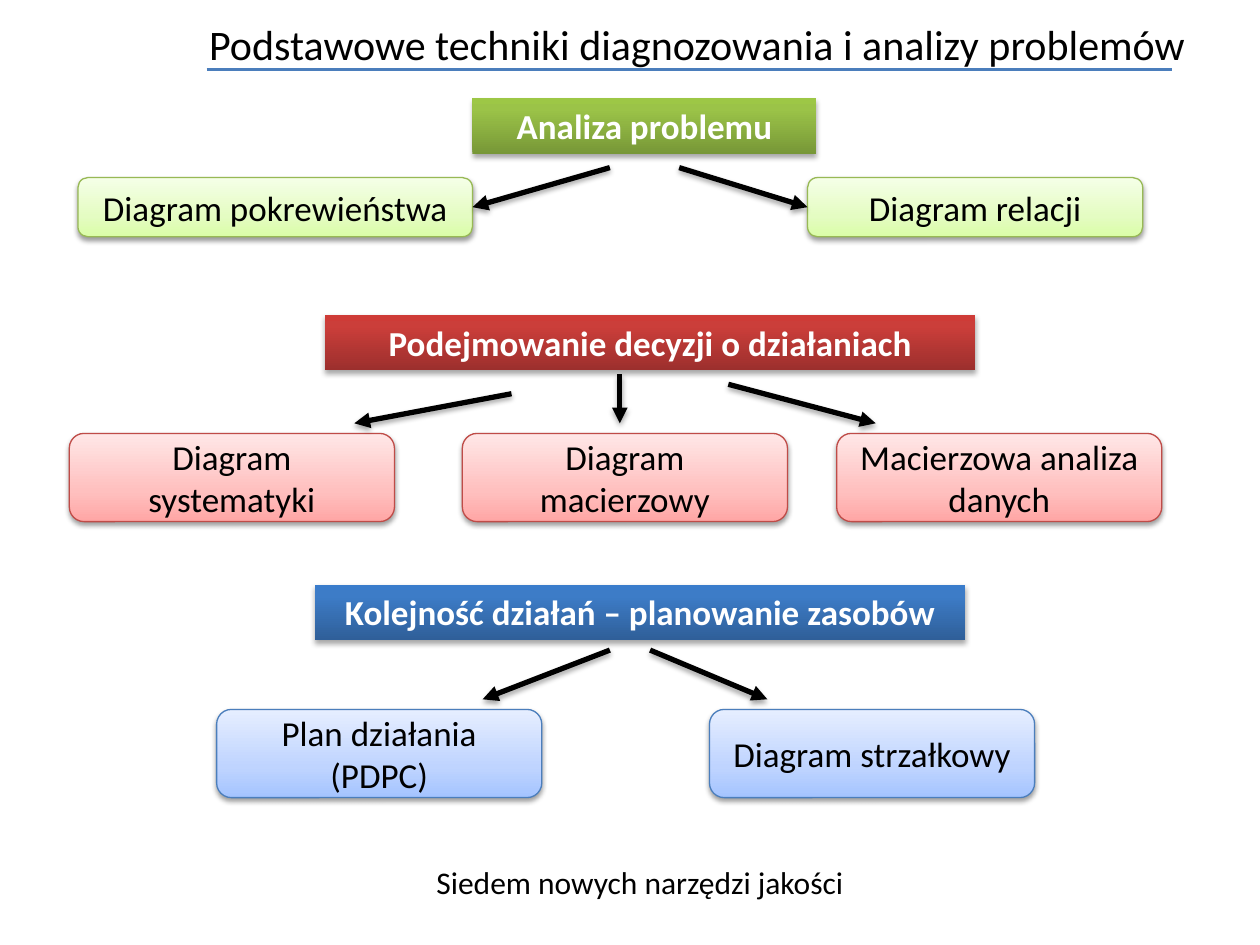
from dataclasses import dataclass

from lxml.etree import SubElement
from pptx import Presentation
from pptx.dml.color import RGBColor
from pptx.enum.shapes import MSO_CONNECTOR, MSO_SHAPE
from pptx.enum.text import MSO_ANCHOR, MSO_AUTO_SIZE, PP_ALIGN
from pptx.oxml import parse_xml
from pptx.oxml.ns import nsdecls, qn
from pptx.util import Pt


@dataclass(frozen=True)
class Theme:
    font: str = "Calibri"
    title_size: int = 24
    box_size: int = 20
    caption_size: int = 18
    text: str = "000000"
    inverse: str = "FFFFFF"
    rule: str = "4B7EBC"


@dataclass(frozen=True)
class Palette:
    heading: tuple  # gradient colours from bottom to top
    leaf: tuple
    outline: str


THEME = Theme()
GREEN = Palette(("779737", "9BC348", "9DC746"), ("DAFDA7", "E4FCC2", "F5FFE7"), "98B955")
RED = Palette(("9C2F2D", "CB3E3A", "CE3B37"), ("FFA6A5", "FFC0BF", "FFE7E7"), "BF4C48")
BLUE = Palette(("2F5F99", "3D7CC7", "3A7CCB"), ("A4C4FF", "BFD4FF", "E6EEFF"), "4B7EBC")

HEADING_HEIGHT = 31.7
LEAF_WIDTH = 185.8
LEAF_HEIGHT = 50.4
LEFT_SIDE, RIGHT_SIDE = 1, 3

# Each section: palette, heading (text, left, top, width), leaf top and height,
# leaves (text, left, width, arrow start, arrow end); an end given as a number
# is the side of the leaf that the arrow is joined to.
SECTIONS = [
    (GREEN, ("Analiza problemu", 270, 56.2, 196.6), 101.5, 33.8, [
        ("Diagram pokrewieństwa", 44.6, 225.4, (348.5, 95.8), RIGHT_SIDE),
        ("Diagram relacji", 461.5, 191.5, (388.1, 95.8), LEFT_SIDE),
    ]),
    (RED, ("Podejmowanie decyzji o działaniach", 185.8, 180, 371.5), 247.7, LEAF_HEIGHT, [
        ("Diagram systematyki", 39.6, LEAF_WIDTH, (292.3, 225), (202.5, 241.9)),
        ("Diagram macierzowy", 264.2, LEAF_WIDTH, (354.2, 213.8), (354.2, 241.9)),
        ("Macierzowa analiza danych", 478.1, LEAF_WIDTH, (416.2, 219.6), (500.4, 241.9)),
    ]),
    (BLUE, ("Kolejność działań – planowanie zasobów", 180, 334.1, 371.5), 405.4, LEAF_HEIGHT, [
        ("Plan działania (PDPC)", 123.8, LEAF_WIDTH, (348.5, 371.5), (275.8, 399.6)),
        ("Diagram strzałkowy", 405.4, LEAF_WIDTH, (371.5, 371.5), (438.5, 399.6)),
    ]),
]


def write_text(shape, text, size, color=THEME.text, bold=False,
               align=PP_ALIGN.CENTER, anchor=MSO_ANCHOR.MIDDLE):
    frame = shape.text_frame
    frame.word_wrap = True
    frame.vertical_anchor = anchor
    para = frame.paragraphs[0]
    para.text = text
    para.alignment = align
    para.font.name = THEME.font
    para.font.size = Pt(size)
    para.font.bold = bold
    para.font.color.rgb = RGBColor.from_string(color)


def set_gradient(shape, colors, middle):
    """Fill from bottom to top, with the second colour at the middle percentage."""
    stops = "".join(
        f'<a:gs pos="{position * 1000}"><a:srgbClr val="{color}"/></a:gs>'
        for position, color in zip((0, middle, 100), colors))
    gradient = parse_xml(
        f'<a:gradFill {nsdecls("a")} rotWithShape="1"><a:gsLst>{stops}</a:gsLst>'
        '<a:lin ang="16200000" scaled="0"/></a:gradFill>')
    shape._element.spPr.find(qn("a:prstGeom")).addnext(gradient)


def set_shadow(shape, distance, opacity):
    """Add a soft black shadow below; call after fill and line are set."""
    shape._element.spPr.append(parse_xml(
        f'<a:effectLst {nsdecls("a")}><a:outerShdw blurRad="{Pt(3.1)}" '
        f'dist="{Pt(distance)}" dir="5400000" rotWithShape="0"><a:srgbClr val="000000">'
        f'<a:alpha val="{opacity * 1000}"/></a:srgbClr></a:outerShdw></a:effectLst>'))


def add_title(page, text):
    title = page.shapes.title
    title.left, title.top, title.width, title.height = Pt(112.3), Pt(0), Pt(607.7), Pt(50.4)
    write_text(title, text, THEME.title_size, align=PP_ALIGN.LEFT)


def add_line(page, start, end, color, width):
    line = page.shapes.add_connector(
        MSO_CONNECTOR.STRAIGHT, *(Pt(value) for value in (*start, *end)))
    line.line.color.rgb = RGBColor.from_string(color)
    line.line.width = Pt(width)
    return line


def add_rule(page, start, end):
    rule = add_line(page, start, end, THEME.rule, 2)
    SubElement(rule._element.spPr, qn("a:effectLst"))


def add_arrow(page, start, end, leaf):
    joined = isinstance(end, int)
    arrow = add_line(page, start, start if joined else end, THEME.text, 3)
    if joined:
        arrow.end_connect(leaf, end)
    SubElement(arrow.line._get_or_add_ln(), qn("a:tailEnd"), type="triangle")
    set_shadow(arrow, 1.8, 35)


def add_heading(page, text, left, top, width, palette):
    box = page.shapes.add_shape(
        MSO_SHAPE.RECTANGLE, Pt(left), Pt(top), Pt(width), Pt(HEADING_HEIGHT))
    set_gradient(box, palette.heading, 80)
    box.line.fill.background()
    set_shadow(box, 1.8, 35)
    write_text(box, text, THEME.box_size, THEME.inverse, bold=True, anchor=MSO_ANCHOR.TOP)
    box.text_frame.auto_size = MSO_AUTO_SIZE.SHAPE_TO_FIT_TEXT


def add_leaf(page, text, left, top, width, height, palette):
    box = page.shapes.add_shape(
        MSO_SHAPE.ROUNDED_RECTANGLE, Pt(left), Pt(top), Pt(width), Pt(height))
    set_gradient(box, palette.leaf, 35)
    box.line.color.rgb = RGBColor.from_string(palette.outline)
    box.line.width = Pt(0.75)
    set_shadow(box, 1.6, 38)
    write_text(box, text, THEME.box_size)
    return box


def add_caption(page, text):
    box = page.shapes.add_textbox(Pt(151.9), Pt(489.6), Pt(427.7), Pt(28.8))
    write_text(box, text, THEME.caption_size, anchor=MSO_ANCHOR.TOP)
    box.text_frame.auto_size = MSO_AUTO_SIZE.SHAPE_TO_FIT_TEXT


def main():
    deck = Presentation()
    deck.slide_width, deck.slide_height = Pt(720), Pt(540)
    page = deck.slides.add_slide(deck.slide_layouts[5])

    # Title and the rule under it
    add_title(page, "Podstawowe techniki diagnozowania i analizy problemów")
    add_rule(page, (118.1, 39.6), (669.6, 39.6))

    # Three groups: a heading with arrows to its tools
    for palette, heading, leaf_top, leaf_height, leaves in SECTIONS:
        add_heading(page, *heading, palette)
        for text, left, width, start, end in leaves:
            leaf = add_leaf(page, text, left, leaf_top, width, leaf_height, palette)
            add_arrow(page, start, end, leaf)

    # Closing caption
    add_caption(page, "Siedem nowych narzędzi jakości")
    deck.save("out.pptx")


if __name__ == "__main__":
    main()
